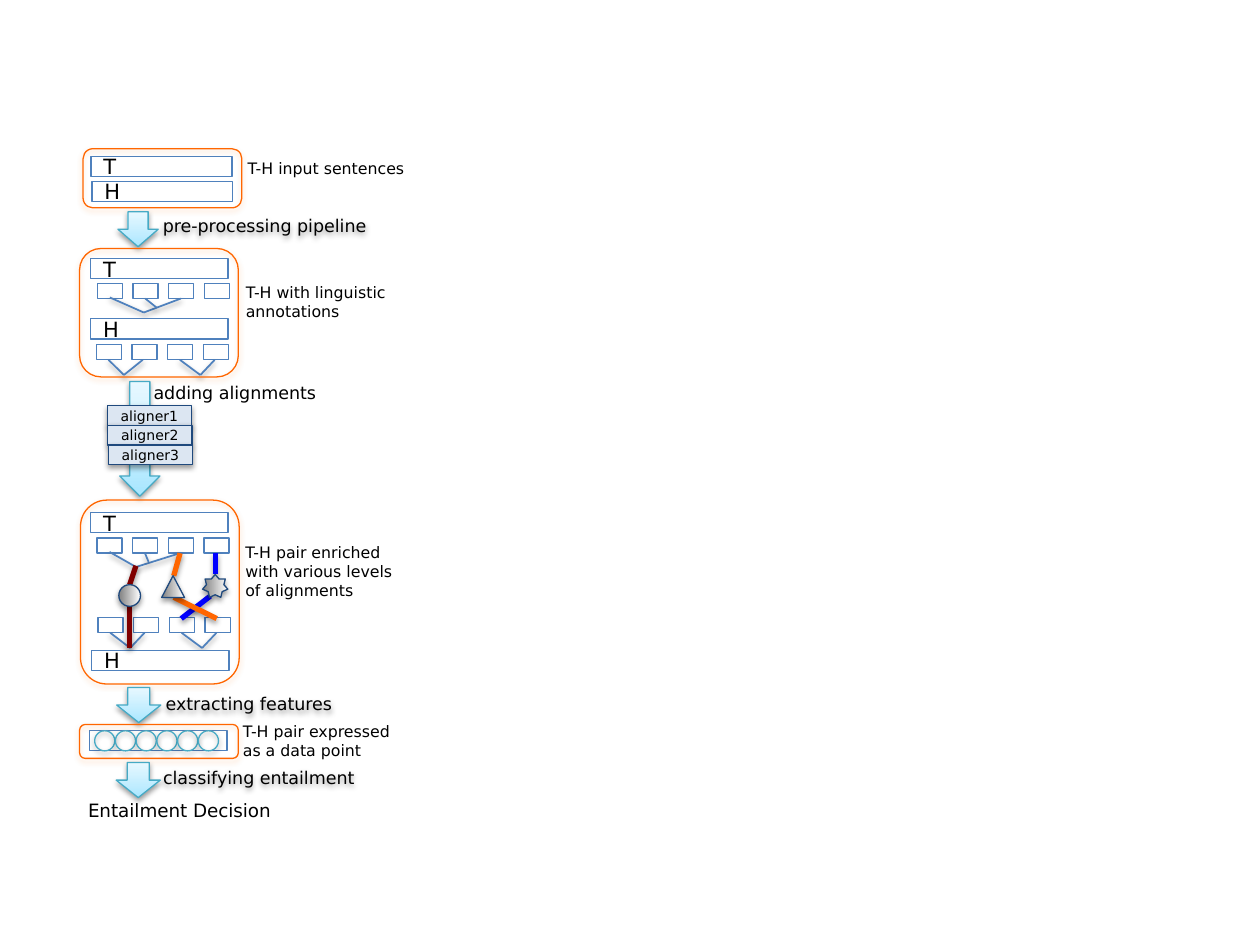
import copy

import lxml.etree
import pptx
import pptx.dml.color
import pptx.enum.shapes
import pptx.enum.text
import pptx.oxml.ns
import pptx.util

Pt = pptx.util.Pt
RGBColor = pptx.dml.color.RGBColor
MSO_SHAPE = pptx.enum.shapes.MSO_SHAPE
ANCHOR = pptx.enum.text.MSO_ANCHOR
ALIGN = pptx.enum.text.PP_ALIGN
qn = pptx.oxml.ns.qn

FONT = "DejaVu Sans"
BLACK = RGBColor(0x00, 0x00, 0x00)
WHITE = RGBColor(0xFF, 0xFF, 0xFF)
BLUE = RGBColor(0x4F, 0x81, 0xBD)
NAVY = RGBColor(0x1F, 0x49, 0x7D)
PALE_BLUE = RGBColor(0xDC, 0xE6, 0xF2)
TEAL = RGBColor(0x46, 0xAA, 0xC5)
ORANGE = RGBColor(0xFF, 0x66, 0x00)
AMBER = RGBColor(0xF7, 0x96, 0x46)
MAROON = RGBColor(0x80, 0x00, 0x00)
PURE_BLUE = RGBColor(0x00, 0x00, 0xFF)
ARROW_STOPS = [(0, RGBColor(0xA7, 0xE6, 0xFF)), (0.35, RGBColor(0xC1, 0xED, 0xFF)),
               (1, RGBColor(0xE7, 0xF8, 0xFF))]
MARK_STOPS = [(0, RGBColor(0x80, 0x80, 0x80)), (1, WHITE)]

FRAME_WIDTH = 90.7
BAR_HEIGHT = 11.5
NO_INSETS = (0, 0, 0, 0)
INSETS = (7.2, 3.6, 7.2, 3.6)


def cast_shadow(part, color=BLACK):
    properties = part._element.spPr
    effects = properties.find(qn("a:effectLst"))
    if effects is None:
        effects = lxml.etree.SubElement(properties, qn("a:effectLst"))
    shadow = lxml.etree.SubElement(effects, qn("a:outerShdw"), blurRad=str(Pt(3.1)),
                                   dist=str(Pt(1.6)), dir="5400000", rotWithShape="0")
    tint = lxml.etree.SubElement(shadow, qn("a:srgbClr"), val=str(color))
    lxml.etree.SubElement(tint, qn("a:alpha"), val="38000")


def write(part, text, size, align=ALIGN.LEFT, anchor=ANCHOR.MIDDLE, insets=INSETS):
    frame = part.text_frame
    frame.word_wrap = True
    frame.vertical_anchor = anchor
    frame.margin_left, frame.margin_top, frame.margin_right, frame.margin_bottom = map(Pt, insets)
    paragraph = frame.paragraphs[0]
    paragraph.text = text
    paragraph.alignment = align
    paragraph.font.size = Pt(size)
    paragraph.font.name = FONT
    paragraph.font.color.rgb = BLACK


def add_part(slide, kind, box, fill=None, line=None, shadow=None):
    part = slide.shapes.add_shape(kind, *map(Pt, box))
    part.shadow.inherit = False
    if fill is None:
        part.fill.background()
    else:
        part.fill.solid()
        part.fill.fore_color.rgb = fill
    if line is None:
        part.line.fill.background()
    else:
        part.line.color.rgb = line
        part.line.width = Pt(0.75)
    if shadow is not None:
        cast_shadow(part, shadow)
    return part


def shade(part, stops, angle):
    part.fill.gradient()
    part.fill.gradient_angle = angle
    stop_list = part._element.spPr.find(qn("a:gradFill")).find(qn("a:gsLst"))
    while len(stop_list) < len(stops):
        stop_list.append(copy.deepcopy(stop_list[-1]))
    for stop, (position, color) in zip(part.fill.gradient_stops, stops):
        stop.position = position
        stop.color.rgb = color


def add_link(slide, left, top, points, color=BLUE, width=1):
    for (x1, y1), (x2, y2) in zip(points, points[1:]):
        link = slide.shapes.add_connector(pptx.enum.shapes.MSO_CONNECTOR.STRAIGHT,
                                          Pt(left + x1), Pt(top + y1), Pt(left + x2), Pt(top + y2))
        link.line.color.rgb = color
        link.line.width = Pt(width)
        cast_shadow(link)


def add_note(slide, box, text, size=9, insets=NO_INSETS):
    note = slide.shapes.add_textbox(*map(Pt, box))
    write(note, text, size, anchor=ANCHOR.TOP, insets=insets)


def add_frame(slide, left, top, height):
    add_part(slide, MSO_SHAPE.FLOWCHART_ALTERNATE_PROCESS, (left, top, FRAME_WIDTH, height),
             line=ORANGE, shadow=AMBER)


def add_bar(slide, left, top, text="", width=78.5):
    bar = add_part(slide, MSO_SHAPE.RECTANGLE, (left, top, width, BAR_HEIGHT), WHITE, BLUE)
    if text:
        write(bar, text, 12)


def add_tokens(slide, left, top, links):
    for column in range(4):
        add_part(slide, MSO_SHAPE.RECTANGLE, (left + 20.4 * column, top, 14.4, 8.6), WHITE, BLUE)
    for points in links:
        add_link(slide, left, top, points)


def tree_links(apex, joint):
    return [[(7.2, 8), (apex, 16.6), (47.8, 8.6)], [(27.4, 8.6), (joint, 13.7)]]


def pair_links(apex):
    return [[(7, 8.6), (apex, 17.3), (26.6, 8.6)], [(47.8, 8.6), (59.5, 17.3), (67.7, 8.6)]]


def add_arrow(slide, box):
    arrow = add_part(slide, MSO_SHAPE.DOWN_ARROW, box, line=TEAL, shadow=BLACK)
    shade(arrow, ARROW_STOPS, 90)


def add_step(slide, arrow_box, label_box, text):
    add_arrow(slide, arrow_box)
    label = add_part(slide, MSO_SHAPE.ROUNDED_RECTANGLE, label_box, shadow=BLACK)
    write(label, text, 10, ALIGN.CENTER, insets=NO_INSETS)


def add_input(slide, left, top):
    add_bar(slide, left + 4.5, top + 4.3, "T", 80.6)
    add_bar(slide, left + 5, top + 18.7, "H", 80.6)
    add_frame(slide, left, top, 33.8)
    add_note(slide, (left + 94, top + 5.7, 95.8, 10.8), "T-H input sentences")


def add_annotated_pair(slide, left, top):
    add_bar(slide, left + 6.4, top + 5.8, "T")
    add_tokens(slide, left + 10.1, top + 20, tree_links(26.6, 33.8))
    add_bar(slide, left + 6.4, top + 40.2, "H")
    add_tokens(slide, left + 9.5, top + 55, pair_links(15.8))
    add_frame(slide, left, top, 73.4)
    add_note(slide, (left + 95, top + 19.4, 96.5, 21.6), "T-H with linguistic annotations")


def add_aligners(slide, left, top):
    add_arrow(slide, (left + 7.1, top - 13.7, 23, 65.5))
    for row in range(3):
        aligner = add_part(slide, MSO_SHAPE.RECTANGLE,
                           (left + 0.3 * row, top + 11.3 * row, 48.2, 11.3),
                           PALE_BLUE, NAVY, BLACK)
        write(aligner, f"aligner{row + 1}", 8, ALIGN.CENTER, insets=(3, 0, 3, 0))
    add_note(slide, (left + 19.4, top - 17.2, 110.2, 19.4), "adding alignments", 10, INSETS)


def add_aligned_pair(slide, left, top):
    add_bar(slide, left + 5.8, top + 7.2, "T")
    add_tokens(slide, left + 9.4, top + 21.6, tree_links(22.3, 29.5))
    add_tokens(slide, left + 10, top + 67.2, pair_links(18.4))
    add_bar(slide, left + 6.4, top + 85.9, "H")
    alignments = [
        (MAROON, [(31.7, 37.5), (28.1, 48.3)], [(28.1, 60.5), (28.1, 84.3)],
         MSO_SHAPE.OVAL, (21.9, 48.3, 12.4, 12.4)),
        (PURE_BLUE, [(77, 30.3), (77, 42.5)], [(74.2, 54.8), (57.6, 67.7)],
         MSO_SHAPE.STAR_7_POINT, (69.8, 42.5, 14.4, 13)),
        (ORANGE, [(56.9, 30.3), (53.3, 43.2)], [(53.3, 55.5), (77.8, 67.7)],
         MSO_SHAPE.ISOSCELES_TRIANGLE, (46.4, 43.2, 13, 12.4)),
    ]
    for color, upper, lower, kind, (x, y, width, height) in alignments:
        add_link(slide, left, top, upper, color, 3)
        add_link(slide, left, top, lower, color, 3)
        mark = add_part(slide, kind, (left + x, top + y, width, height), line=NAVY, shadow=BLACK)
        shade(mark, MARK_STOPS, 0)
    add_frame(slide, left, top, 105.1)
    add_note(slide, (left + 94.2, top + 24.5, 88.6, 32.4),
             "T-H pair enriched with various levels of alignments")


def add_data_point(slide, left, top):
    add_bar(slide, left + 5.8, top + 3.6)
    for column in range(6):
        add_part(slide, MSO_SHAPE.OVAL, (left + 8.6 + 11.85 * column, top + 3.6, 11.5, 11.5),
                 line=TEAL, shadow=BLACK)
    add_frame(slide, left, top, 19.4)
    add_note(slide, (left + 93.3, top - 1.4, 96.5, 21.6), "T-H pair expressed as a data point")


def main():
    deck = pptx.Presentation()
    deck.slide_width, deck.slide_height = Pt(720), Pt(540)
    slide = deck.slides.add_slide(deck.slide_layouts[6])
    add_input(slide, 47.5, 85)
    add_step(slide, (67.4, 121, 23, 20), (86.4, 117.4, 129.6, 23), "pre-processing pipeline")
    add_annotated_pair(slide, 45.5, 142)
    add_aligners(slide, 61.3, 231.7)
    add_aligned_pair(slide, 46, 285.8)
    add_step(slide, (66.7, 392.9, 25.2, 20), (93.6, 393.1, 97.2, 18), "extracting features")
    add_data_point(slide, 45.5, 414)
    add_step(slide, (66.4, 435.8, 25.2, 20), (80.6, 435.8, 134.6, 16.6), "classifying entailment")
    add_note(slide, (43.2, 452.9, 167, 20.2), "Entailment Decision", 10.5, INSETS)
    deck.save("out.pptx")


if __name__ == "__main__":
    main()
